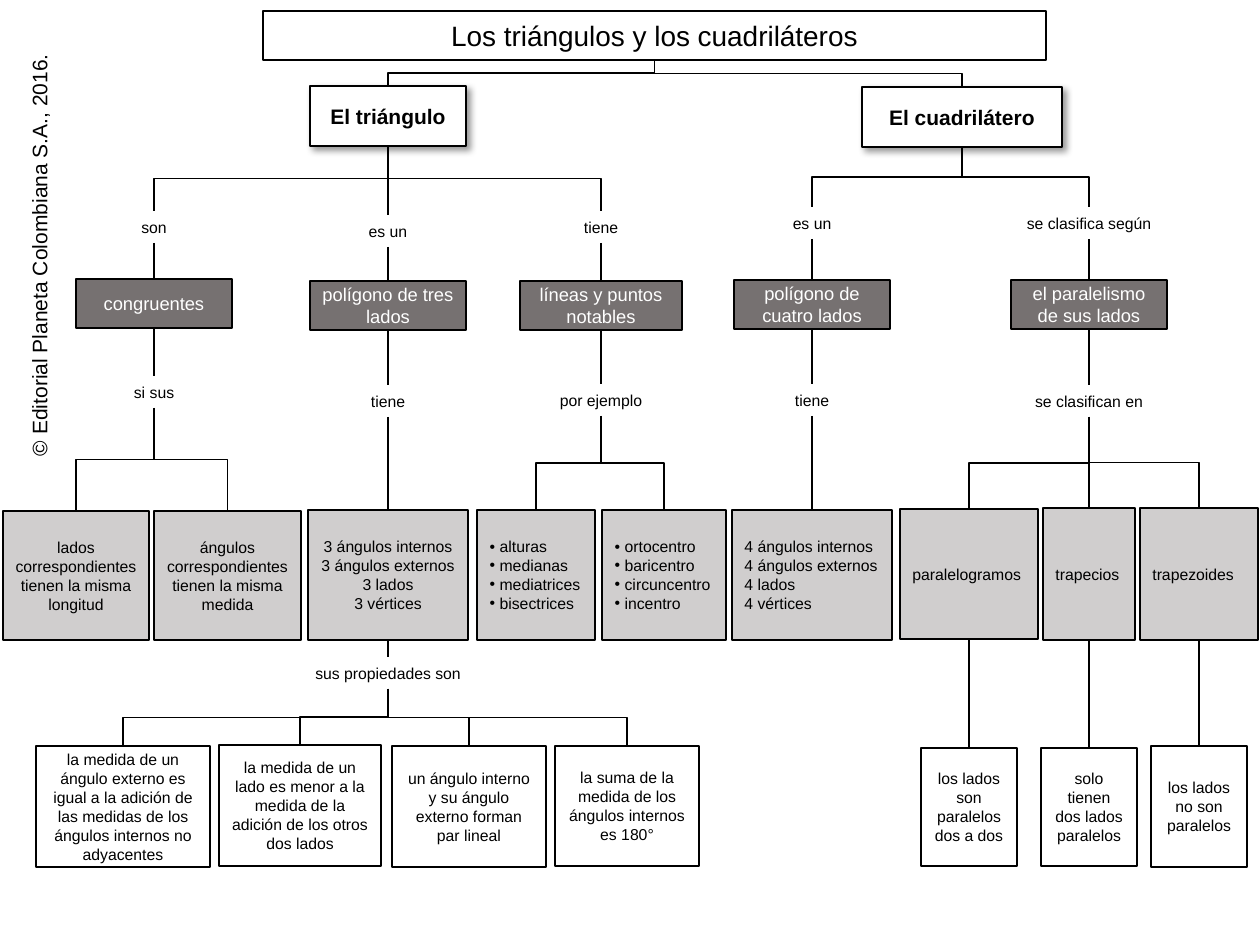
from dataclasses import dataclass

from lxml import etree
from pptx import Presentation
from pptx.dml import color
from pptx.enum import shapes, text
from pptx.oxml import ns
from pptx.util import Emu, Pt

SCALE = 914400 / 126
FONT = "Arial"
BLACK, WHITE, DARK, LIGHT = "000000", "FFFFFF", "767171", "D0CECE"
CENTER, LEFT = text.PP_ALIGN.CENTER, text.PP_ALIGN.LEFT


@dataclass(frozen=True)
class Style:
    size: float
    fill: str = WHITE
    ink: str = BLACK
    bold: bool = False
    align: text.PP_ALIGN = CENTER


@dataclass(frozen=True)
class Node:
    key: str
    parent: str
    style: Style
    left: int
    top: int
    width: int
    height: int
    words: str


HEADING = Style(16)
TOPIC = Style(12, bold=True)
LABEL = Style(9)
CONCEPT = Style(10.5, DARK, WHITE)
GROUP = Style(9, LIGHT)
LISTING = Style(9, LIGHT, align=LEFT)
BULLETS = Style(9, LIGHT, align=LEFT)
BULLET_LISTS = ("alturas", "ortocentro")
DETAIL = Style(9)
CREDIT = Style(12)

NODES = [
    Node("title", "", HEADING, 263, 11, 783, 49, "Los triángulos y los cuadriláteros"),
    Node("triangulo", "title", TOPIC, 310, 86, 156, 60, "El triángulo"),
    Node("cuadrilatero", "title", TOPIC, 862, 87, 200, 60, "El cuadrilátero"),
    Node("son", "triangulo", LABEL, 76, 211, 156, 32, "son"),
    Node("congruentes", "son", CONCEPT, 76, 279, 156, 49, "congruentes"),
    Node("si sus", "congruentes", LABEL, 76, 376, 156, 32, "si sus"),
    Node("lados", "si sus", GROUP, 3, 511, 146, 129,
         "lados correspondientes tienen la misma longitud"),
    Node("angulos", "si sus", GROUP, 154, 511, 147, 129,
         "ángulos correspondientes tienen la misma medida"),
    Node("es un 3", "triangulo", LABEL, 310, 215, 156, 32, "es un"),
    Node("tres lados", "es un 3", CONCEPT, 310, 281, 156, 49, "polígono de tres lados"),
    Node("tiene 3", "tres lados", LABEL, 310, 385, 156, 32, "tiene"),
    Node("partes 3", "tiene 3", GROUP, 308, 510, 160, 130,
         "3 ángulos internos\n3 ángulos externos\n3 lados\n3 vértices"),
    Node("propiedades", "partes 3", LABEL, 291, 657, 194, 32, "sus propiedades son"),
    Node("externo", "propiedades", DETAIL, 36, 746, 174, 121,
         "la medida de un ángulo externo es igual a la adición de las medidas "
         "de los ángulos internos no adyacentes"),
    Node("lado menor", "propiedades", DETAIL, 219, 745, 162, 121,
         "la medida de un lado es menor a la medida de la adición de los otros dos lados"),
    Node("par lineal", "propiedades", DETAIL, 392, 746, 154, 121,
         "un ángulo interno y su ángulo externo forman par lineal"),
    Node("suma", "propiedades", DETAIL, 555, 746, 144, 120,
         "la suma de la medida de los ángulos internos es 180°"),
    Node("tiene", "triangulo", LABEL, 523, 211, 156, 32, "tiene"),
    Node("notables", "tiene", CONCEPT, 520, 281, 162, 49, "líneas y puntos notables"),
    Node("por ejemplo", "notables", LABEL, 523, 384, 156, 32, "por ejemplo"),
    Node("alturas", "por ejemplo", BULLETS, 477, 510, 118, 130,
         "alturas\nmedianas\nmediatrices\nbisectrices"),
    Node("ortocentro", "por ejemplo", BULLETS, 602, 510, 124, 130,
         "ortocentro\nbaricentro\ncircuncentro\nincentro"),
    Node("es un 4", "cuadrilatero", LABEL, 734, 207, 156, 32, "es un"),
    Node("cuatro lados", "es un 4", CONCEPT, 734, 280, 156, 49, "polígono de cuatro lados"),
    Node("tiene 4", "cuatro lados", LABEL, 734, 384, 156, 32, "tiene"),
    Node("partes 4", "tiene 4", LISTING, 732, 510, 160, 130,
         "4 ángulos internos\n4 ángulos externos\n4 lados\n4 vértices"),
    Node("segun", "cuadrilatero", LABEL, 1011, 207, 156, 32, "se clasifica según"),
    Node("paralelismo", "segun", CONCEPT, 1011, 280, 156, 49, "el paralelismo de sus lados"),
    Node("clases", "paralelismo", LABEL, 1011, 385, 156, 32, "se clasifican en"),
    Node("paralelogramos", "clases", LISTING, 900, 509, 138, 130, "paralelogramos"),
    Node("trapecios", "clases", LISTING, 1043, 508, 92, 132, "trapecios"),
    Node("trapezoides", "clases", LISTING, 1140, 508, 118, 132, "trapezoides"),
    Node("dos a dos", "paralelogramos", DETAIL, 921, 748, 96, 118,
         "los lados son paralelos dos a dos"),
    Node("solo dos", "trapecios", DETAIL, 1041, 748, 96, 118,
         "solo tienen dos lados paralelos"),
    Node("ninguno", "trapezoides", DETAIL, 1151, 746, 96, 121, "los lados no son paralelos"),
]
CREDIT_NODE = Node("credit", "", CREDIT, -176, 236, 430, 38,
                   "© Editorial Planeta Colombiana S.A., 2016.")


def px(length: int) -> Emu:
    return Emu(round(length * SCALE))


def rgb(value: str) -> color.RGBColor:
    return color.RGBColor.from_string(value)


def add_effects(shape) -> etree._Element:
    return etree.SubElement(shape._element.spPr, ns.qn("a:effectLst"))


def add_shadow(box) -> None:
    effects = box._element.spPr.find(ns.qn("a:effectLst"))
    shadow = etree.SubElement(effects, ns.qn("a:outerShdw"), blurRad="50800", dist="38100",
                              dir="2700000", algn="tl", rotWithShape="0")
    tint = etree.SubElement(shadow, ns.qn("a:srgbClr"), val=BLACK)
    etree.SubElement(tint, ns.qn("a:alpha"), val="40000")


def add_bullet(para) -> None:
    props = para._p.get_or_add_pPr()
    props.set("marL", str(px(10)))
    props.set("indent", str(px(-10)))
    etree.SubElement(props, ns.qn("a:buChar"), char="•")


def write(box, node: Node) -> None:
    frame, style = box.text_frame, node.style
    frame.text = node.words
    frame.word_wrap = True
    frame.auto_size = text.MSO_AUTO_SIZE.NONE
    frame.vertical_anchor = text.MSO_ANCHOR.MIDDLE
    for para in frame.paragraphs:
        para.alignment = style.align
        para.space_before = Pt(0)
        if node.key in BULLET_LISTS:
            add_bullet(para)
        para.font.name = FONT
        para.font.size = Pt(style.size)
        para.font.bold = style.bold
        para.font.color.rgb = rgb(style.ink)


def add_node(page, node: Node, holders: dict):
    frame = [px(side) for side in (node.left, node.top, node.width, node.height)]
    if node.key in holders:
        box = holders[node.key]
        box.left, box.top, box.width, box.height = frame
    elif node.style in (LABEL, CREDIT) and node.style is not DETAIL:
        box = page.shapes.add_textbox(*frame)
    else:
        box = page.shapes.add_shape(shapes.MSO_SHAPE.RECTANGLE, *frame)
    if node.style is not LABEL and node.style is not CREDIT:
        box.shadow.inherit = False
        box.fill.solid()
        box.fill.fore_color.rgb = rgb(node.style.fill)
        box.line.color.rgb = rgb(BLACK)
        box.line.width = Pt(1)
    if node.style is TOPIC:
        add_shadow(box)
    write(box, node)
    return box


def add_link(page, parent, child) -> None:
    x1, y1 = parent.left + parent.width // 2, parent.top + parent.height
    x2, y2 = child.left + child.width // 2, child.top
    across, down = abs(x2 - x1), y2 - y1
    straight = across < px(1)
    kind = shapes.MSO_CONNECTOR.STRAIGHT if straight else shapes.MSO_CONNECTOR.ELBOW
    link = page.shapes.add_connector(kind, x1, y1, x2, y2)
    link.begin_connect(parent, 2)
    link.end_connect(child, 0)
    if not straight:
        link.left, link.top = Emu((x1 + x2 - down) // 2), Emu((y1 + y2 - across) // 2)
        link.width, link.height = Emu(down), Emu(across)
        turn = link._element.spPr.find(ns.qn("a:xfrm"))
        turn.set("rot", "16200000" if x2 > x1 else "5400000")
        turn.set("flipH", "1" if x2 > x1 else "0")
    link.line.color.rgb = rgb(BLACK)
    link.line.width = Pt(1)
    add_effects(link)


def main() -> None:
    deck = Presentation()
    deck.slide_width, deck.slide_height = px(1260), px(945)
    page = deck.slides.add_slide(deck.slide_layouts[3])
    holders = dict(zip(("title", *BULLET_LISTS), page.placeholders))
    credit = add_node(page, CREDIT_NODE, holders)
    credit.rotation = 270
    credit.text_frame.word_wrap = False
    boxes = {}
    for node in NODES:
        boxes[node.key] = add_node(page, node, holders)
        if node.parent:
            add_link(page, boxes[node.parent], boxes[node.key])
    deck.save("out.pptx")


if __name__ == "__main__":
    main()
